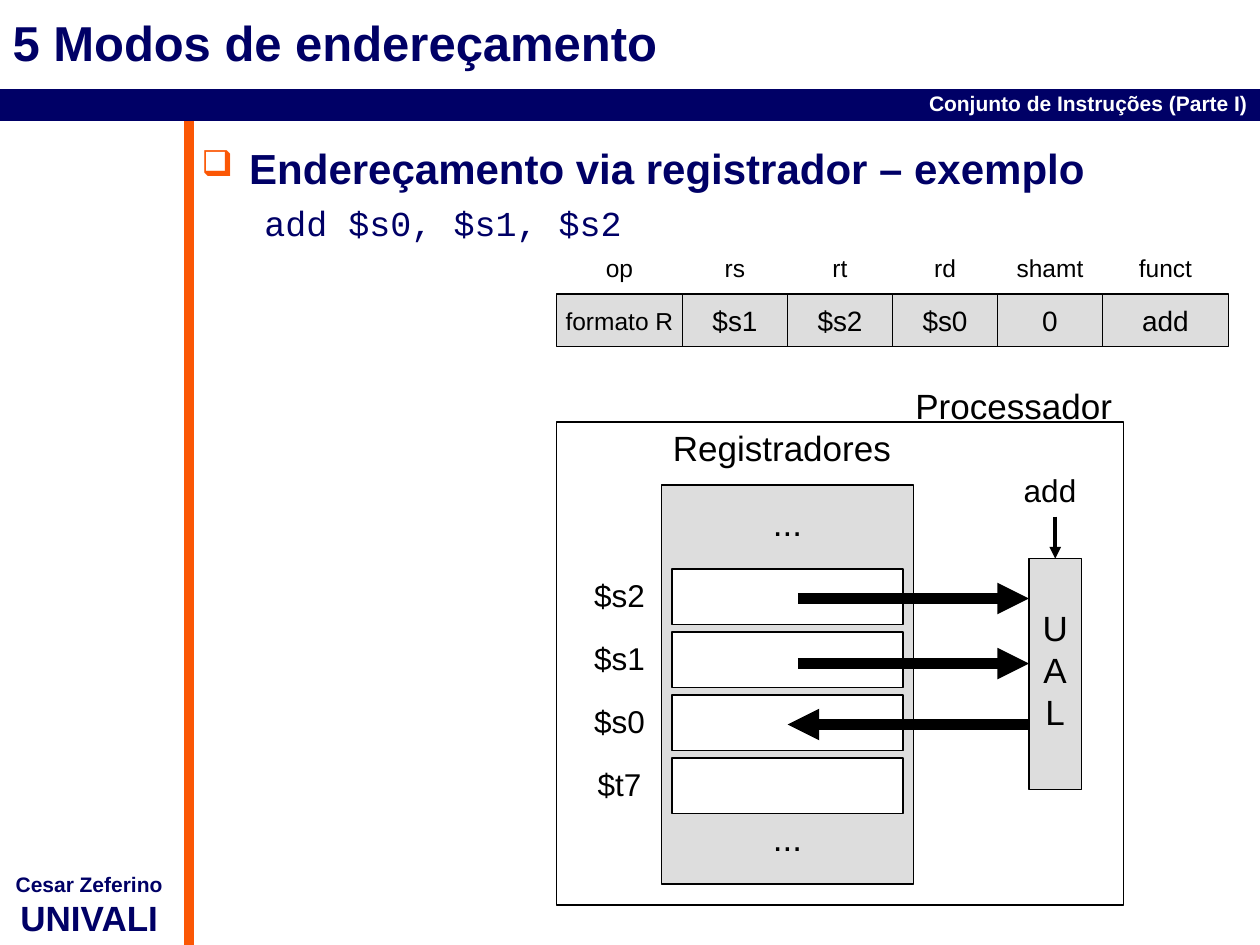
import itertools

import lxml.etree
import pptx
import pptx.dml.color
import pptx.enum.shapes
import pptx.enum.text
import pptx.oxml.ns
import pptx.util

RGBColor = pptx.dml.color.RGBColor
ALIGN = pptx.enum.text.PP_ALIGN
ANCHOR = pptx.enum.text.MSO_ANCHOR

NAVY = RGBColor(0x00, 0x00, 0x66)
ORANGE = RGBColor(0xFB, 0x57, 0x05)
GRAY = RGBColor(0xDD, 0xDD, 0xDD)
BLACK = RGBColor(0x00, 0x00, 0x00)
WHITE = RGBColor(0xFF, 0xFF, 0xFF)

COLUMNS, ROWS = 120, 90
UNIT = pptx.util.Inches(10) / COLUMNS

TITLE = "5 Modos de endereçamento"
CHAPTER = "Conjunto de Instruções (Parte I)"
AUTHOR = [("Cesar Zeferino", 12), ("UNIVALI", 20)]
HEADING = "Endereçamento via registrador – exemplo"
CODE = "add $s0, $s1, $s2"
FIELDS = [
    ("op", "formato R", 12, 14),
    ("rs", "$s1", 10, 16),
    ("rt", "$s2", 10, 16),
    ("rd", "$s0", 10, 16),
    ("shamt", "0", 10, 16),
    ("funct", "add", 12, 16),
]
REGISTERS = ["$s2", "$s1", "$s0", "$t7"]
DATA_ARROWS = [(76, 98, 57), (76, 98, 63.2), (98, 75, 69)]

FIELD_LEFT, FIELD_TOP, FIELD_HEIGHT = 53, 28, 5
REGISTER_LEFT, REGISTER_TOP = 64, 54.2
REGISTER_WIDTH, REGISTER_HEIGHT, REGISTER_STEP = 22, 5.3, 6

LABEL = dict(align=ALIGN.CENTER, anchor=ANCHOR.MIDDLE, wrap=False)
CAPTION = dict(size=20, wrap=False)
CENTERED = dict(size=20, align=ALIGN.CENTER)


def grid(*cells):
    return [pptx.util.Emu(round(cell * UNIT)) for cell in cells]


def set_format(target, values):
    for name, value in values.items():
        setattr(target, name, value)


def write(frame, lines, size=18, color=BLACK, bold=False, align=ALIGN.LEFT,
          anchor=ANCHOR.TOP, wrap=True):
    set_format(frame, dict(word_wrap=wrap, vertical_anchor=anchor,
                           auto_size=pptx.enum.text.MSO_AUTO_SIZE.NONE))
    for index, (text, points) in enumerate(lines):
        paragraph = frame.add_paragraph() if index else frame.paragraphs[0]
        paragraph.text = text
        paragraph.alignment = align
        set_format(paragraph.runs[0].font,
                   dict(name="Arial", size=pptx.util.Pt(points or size), bold=bold))
        paragraph.runs[0].font.color.rgb = color


def add_label(slide, box, *texts, **style):
    label = slide.shapes.add_textbox(*grid(*box))
    write(label.text_frame, [(text, None) for text in texts], **style)
    return label


def add_block(slide, box, fill):
    block = slide.shapes.add_shape(pptx.enum.shapes.MSO_SHAPE.RECTANGLE, *grid(*box))
    block.shadow.inherit = False
    block.fill.solid()
    block.fill.fore_color.rgb = fill
    block.line.color.rgb = BLACK
    block.line.width = pptx.util.Pt(0.75)
    return block


def add_line(slide, ends, color, points, arrow=False):
    line = slide.shapes.add_connector(
        pptx.enum.shapes.MSO_CONNECTOR.STRAIGHT, *grid(*ends))
    line.line.color.rgb = color
    line.line.width = pptx.util.Pt(points)
    if arrow:
        lxml.etree.SubElement(line.line._get_or_add_ln(),
                              pptx.oxml.ns.qn("a:tailEnd"), type="triangle")
    lxml.etree.SubElement(line._element.spPr, pptx.oxml.ns.qn("a:effectLst"))
    return line


def add_frame(slide):
    add_line(slide, (18, 11, 18, ROWS), ORANGE, 6)
    add_line(slide, (0, 10, COLUMNS, 10), NAVY, 18)
    add_label(slide, (0, 8, COLUMNS, 3), CHAPTER,
              size=12, color=WHITE, bold=True, align=ALIGN.RIGHT)
    author = slide.shapes.add_textbox(*grid(0, 82.4, 17, 7.6))
    set_format(author.text_frame, dict(margin_left=0, margin_right=0))
    write(author.text_frame, AUTHOR, color=NAVY, bold=True, align=ALIGN.CENTER)
    title = slide.shapes.title
    set_format(title, dict(zip(("left", "top", "width", "height"),
                               grid(0, 0, COLUMNS, 8))))
    write(title.text_frame, [(TITLE, 28)], color=NAVY, bold=True, anchor=ANCHOR.MIDDLE)


def add_topic(slide):
    topic = slide.shapes.add_textbox(*grid(18, 13, 102, 77))
    write(topic.text_frame, [(HEADING, 24), (CODE, 20)], color=NAVY, bold=True)
    heading, code = topic.text_frame.paragraphs
    for paragraph, margin, indent in ((heading, 0.38, -0.38), (code, 0.81, -0.31)):
        properties = paragraph._p.get_or_add_pPr()
        properties.set("marL", str(pptx.util.Inches(margin)))
        properties.set("indent", str(pptx.util.Inches(indent)))
    properties = heading._p.get_or_add_pPr()
    bullet_color = lxml.etree.SubElement(properties, pptx.oxml.ns.qn("a:buClr"))
    lxml.etree.SubElement(bullet_color, pptx.oxml.ns.qn("a:srgbClr"), val=str(ORANGE))
    lxml.etree.SubElement(properties, pptx.oxml.ns.qn("a:buSzPct"), val="85000")
    lxml.etree.SubElement(properties, pptx.oxml.ns.qn("a:buChar"), char="❑")
    code.space_before = pptx.util.Pt(5)
    set_format(code.runs[0].font, dict(name="Courier New", bold=False))


def add_instruction(slide):
    widths = [width for _, _, width, _ in FIELDS]
    lefts = itertools.accumulate(widths[:-1], initial=FIELD_LEFT)
    for left, (field, value, width, size) in zip(lefts, FIELDS):
        block = add_block(slide, (left, FIELD_TOP, width, FIELD_HEIGHT), GRAY)
        write(block.text_frame, [(value, size)], **LABEL)
        add_label(slide, (left, FIELD_TOP - FIELD_HEIGHT, width, FIELD_HEIGHT),
                  field, size=14, **LABEL)


def add_processor(slide):
    add_block(slide, (53, 40.2, 54, 46), WHITE)
    add_label(slide, (86, 36, 21.1, 5.3), "Processador", **CAPTION)
    add_block(slide, (63, 46.2, 24, 38), GRAY)
    add_label(slide, (62.9, 40, 23.2, 5.3), "Registradores", **CAPTION)
    for top in (47.2, 77.2):
        add_label(slide, (REGISTER_LEFT, top, REGISTER_WIDTH, REGISTER_HEIGHT),
                  "...", **CENTERED)
    for row, register in enumerate(REGISTERS):
        top = REGISTER_TOP + row * REGISTER_STEP
        add_block(slide, (REGISTER_LEFT, top, REGISTER_WIDTH, REGISTER_HEIGHT), WHITE)
        add_label(slide, (REGISTER_LEFT - 10, top, 10, 5), register, **LABEL)
    alu = add_block(slide, (98, 53.2, 5, 22), GRAY)
    add_label(slide, (98, 57.2, 5, 13.2), *"UAL", **CENTERED)
    for start, end, height in DATA_ARROWS:
        add_line(slide, (start, height, end, height), BLACK, 6, arrow=True)
    add_label(slide, (95, 44.2, 10, 5), "add", **LABEL)
    control = add_line(slide, (100.5, 49.2, 100.5, 53.2), BLACK, 2.25, arrow=True)
    control.end_connect(alu, 0)


def main():
    deck = pptx.Presentation()
    deck.slide_width, deck.slide_height = grid(COLUMNS, ROWS)
    slide = deck.slides.add_slide(deck.slide_layouts[5])
    add_frame(slide)
    add_topic(slide)
    add_instruction(slide)
    add_processor(slide)
    deck.save("out.pptx")


if __name__ == "__main__":
    main()
